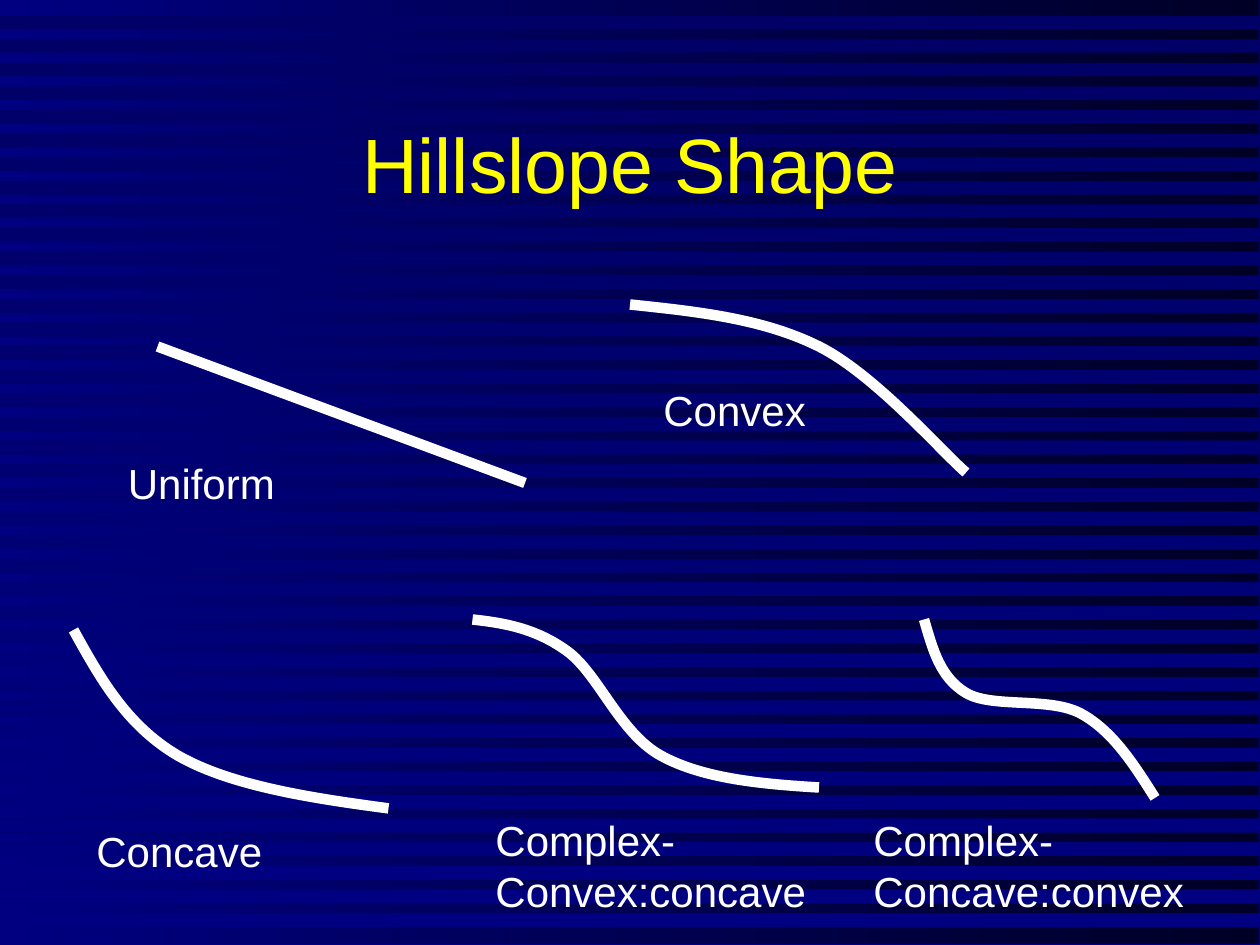
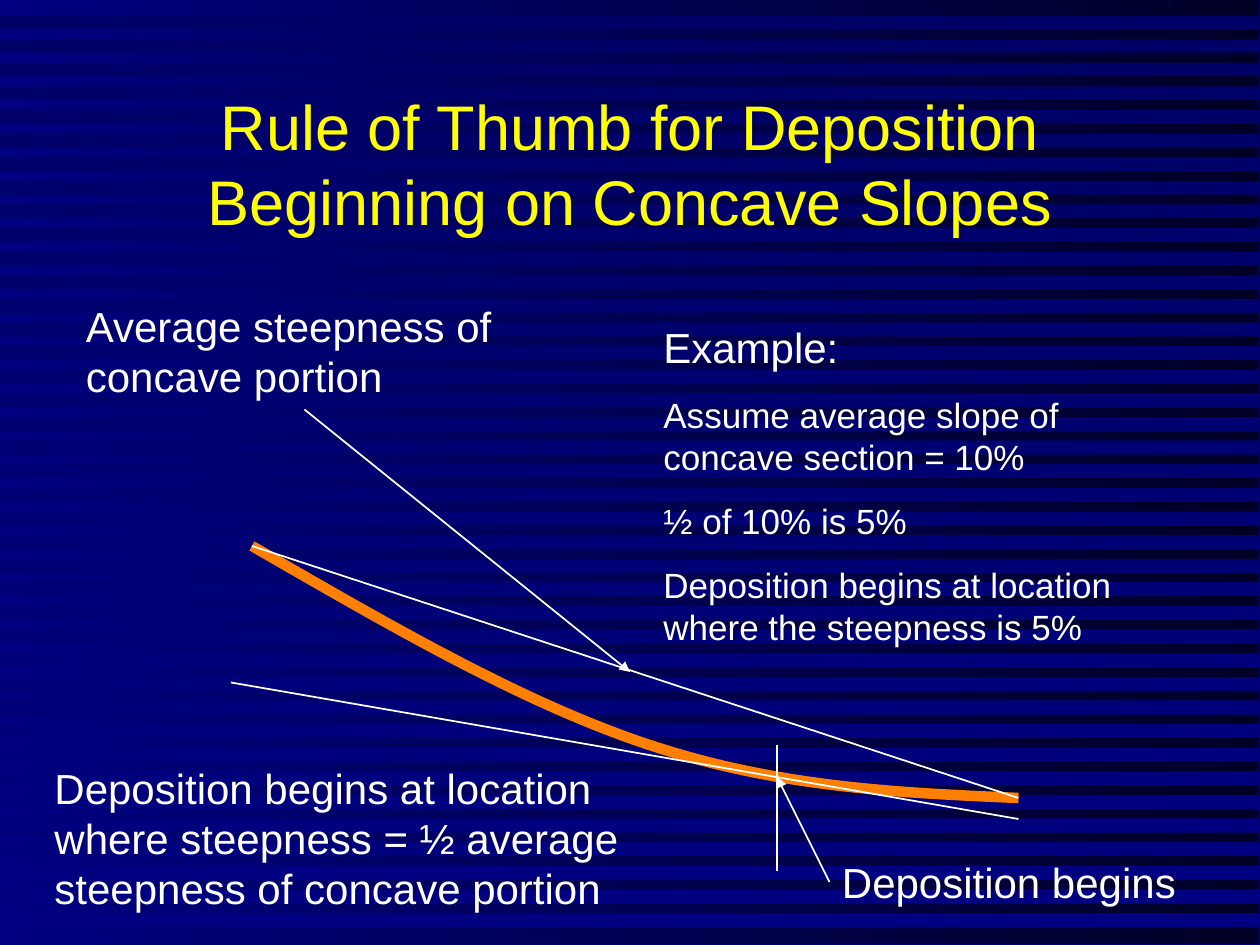
from lxml.etree import SubElement
from pptx import Presentation
from pptx.dml.color import RGBColor
from pptx.enum.shapes import MSO_CONNECTOR, MSO_SHAPE
from pptx.enum.text import MSO_ANCHOR, MSO_AUTO_SIZE, PP_ALIGN
from pptx.oxml.ns import qn
from pptx.util import Pt

WIDTH, HEIGHT = 720, 540
FONT = "Arial"
WHITE = RGBColor(0xFF, 0xFF, 0xFF)
YELLOW = RGBColor(0xFF, 0xFF, 0x00)
ORANGE = RGBColor(0xFF, 0x80, 0x00)
NAVY = RGBColor(0x00, 0x00, 0x80)
DEEP_NAVY = RGBColor(0x00, 0x00, 0x66)
MIDNIGHT = RGBColor(0x00, 0x00, 0x26)

STRIPE_COUNT, STRIPE_TOP, STRIPE_PITCH, STRIPE_HEIGHT = 39, 9, 13.5, 7.55


def points(*values):
    return [Pt(v) for v in values]


def set_gradient(fill, start, end, angle):
    fill.gradient()
    fill.gradient_angle = angle
    for stop, color in zip(fill.gradient_stops, (start, end)):
        stop.color.rgb = color


def add_outline(slide, vertices, close):
    start, *rest = [points(*v) for v in vertices]
    builder = slide.shapes.build_freeform(*start)
    builder.add_line_segments(rest, close=close)
    sp = builder.convert_to_shape()
    sp.shadow.inherit = False
    return sp


def add_stripes(slide):
    """Draw all stripes as one outline that folds back at the right edge."""
    vertices = []
    for i in range(STRIPE_COUNT):
        top = STRIPE_TOP + i * STRIPE_PITCH
        bottom = top + STRIPE_HEIGHT
        vertices += [(WIDTH, top), (0, top), (0, bottom), (WIDTH, bottom)]
    sp = add_outline(slide, vertices, close=True)
    set_gradient(sp.fill, DEEP_NAVY, NAVY, 270)
    sp.line.fill.background()


def add_curve(slide, vertices, color=WHITE, width=6):
    """Draw Bezier segments: a start, then two controls and an end for each."""
    sp = add_outline(slide, vertices, close=False)
    outline = next(sp._element.iter(qn("a:path")))
    lines = outline.findall(qn("a:lnTo"))
    for i in range(0, len(lines), 3):
        curve = SubElement(outline, qn("a:cubicBezTo"))
        for line in lines[i:i + 3]:
            curve.append(line[0])
            outline.remove(line)
    sp.fill.background()
    sp.line.color.rgb = color
    sp.line.width = Pt(width)


def add_line(slide, start, end, width=1, arrow=False):
    cn = slide.shapes.add_connector(MSO_CONNECTOR.STRAIGHT, *points(*start, *end))
    cn.line.color.rgb = WHITE
    cn.line.width = Pt(width)
    sp_pr = cn._element.spPr
    if arrow:
        SubElement(sp_pr.find(qn("a:ln")), qn("a:tailEnd"), type="triangle")
    SubElement(sp_pr, qn("a:effectLst"))


def add_text(slide, box, *paragraphs, size=24, first_size=None, color=WHITE,
             align=PP_ALIGN.LEFT, anchor=MSO_ANCHOR.TOP, space=12.5,
             auto_size=MSO_AUTO_SIZE.SHAPE_TO_FIT_TEXT):
    tf = slide.shapes.add_textbox(*points(*box)).text_frame
    tf.word_wrap = True
    tf.auto_size = auto_size
    tf.vertical_anchor = anchor
    for i, text in enumerate(paragraphs):
        p = tf.add_paragraph() if i else tf.paragraphs[0]
        p.alignment = align
        if i:
            p.space_before = Pt(space)
        r = p.add_run()
        r.text = text
        r.font.name = FONT
        r.font.size = Pt(size if i else first_size or size)
        r.font.color.rgb = color


def add_slide(prs, title, title_size):
    slide = prs.slides.add_slide(prs.slide_layouts[6])
    set_gradient(slide.background.fill, DEEP_NAVY, NAVY, 270)
    panel = slide.shapes.add_shape(MSO_SHAPE.RECTANGLE, *points(0, 0, 719.25, 539.25))
    panel.shadow.inherit = False
    set_gradient(panel.fill, MIDNIGHT, NAVY, 180)
    panel.line.fill.background()
    add_stripes(slide)
    add_text(slide, (54, 48, 612, 90), title, size=title_size, color=YELLOW,
             align=PP_ALIGN.CENTER, anchor=MSO_ANCHOR.MIDDLE,
             auto_size=MSO_AUTO_SIZE.NONE)
    return slide


def build_hillslope_shapes(prs):
    s = add_slide(prs, "Hillslope Shape", 44)
    add_line(s, (90, 198), (300, 276), width=6)
    convex = [(360, 174), (398, 178), (436, 182), (468, 198),
              (500, 214), (538, 258), (552, 270)]
    concave = [(42, 360), (57, 387), (72, 414.5), (102, 432),
               (132, 449), (177, 456), (222, 462)]
    convex_concave = [(270, 354), (288, 356), (306, 359), (324, 372),
                      (342, 385), (354, 419), (378, 432),
                      (402, 445), (435, 448), (468, 450)]
    concave_convex = [(528, 354), (533, 371), (537, 387), (552, 396),
                      (567, 405), (600, 398), (618, 408),
                      (636, 418), (648, 437), (660, 456)]
    for profile in (convex, concave, convex_concave, concave_convex):
        add_curve(s, profile)
    for label, box in (
        ("Uniform", (66, 258, 102, 36)),
        ("Convex", (372, 216, 120, 36)),
        ("Concave", (48, 468, 132, 36)),
        ("Complex-Convex:concave", (276, 462, 204, 65)),
        ("Complex-Concave:convex", (492, 462, 216, 65)),
    ):
        add_text(s, box, label)


def build_deposition_rule(prs):
    s = add_slide(prs, "Rule of Thumb for Deposition Beginning on Concave Slopes", 36)
    add_curve(s, [(144, 312), (222, 357), (299, 402), (372, 426),
                  (445, 450), (513, 453), (582, 456)], color=ORANGE)
    add_line(s, (582, 456), (144, 312))
    add_line(s, (582, 468), (132, 390))
    add_text(s, (42, 168, 318, 65), "Average steepness of concave portion")
    add_line(s, (174, 234), (360, 384), arrow=True)
    add_line(s, (444, 426), (444, 498))
    add_text(s, (474, 486, 228, 36), "Deposition begins")
    add_text(s, (24, 432, 384, 94),
             "Deposition begins at location where steepness = ½ average "
             "steepness of concave portion")
    add_line(s, (474, 504), (444, 444), arrow=True)
    add_text(s, (372, 180, 312, 194), "Example:",
             "Assume average slope of concave section = 10%",
             "½ of 10% is 5%",
             "Deposition begins at location where the steepness is 5%",
             size=20, first_size=24)


def main():
    prs = Presentation()
    prs.slide_width, prs.slide_height = points(WIDTH, HEIGHT)
    build_hillslope_shapes(prs)
    build_deposition_rule(prs)
    prs.save("out.pptx")


if __name__ == "__main__":
    main()
